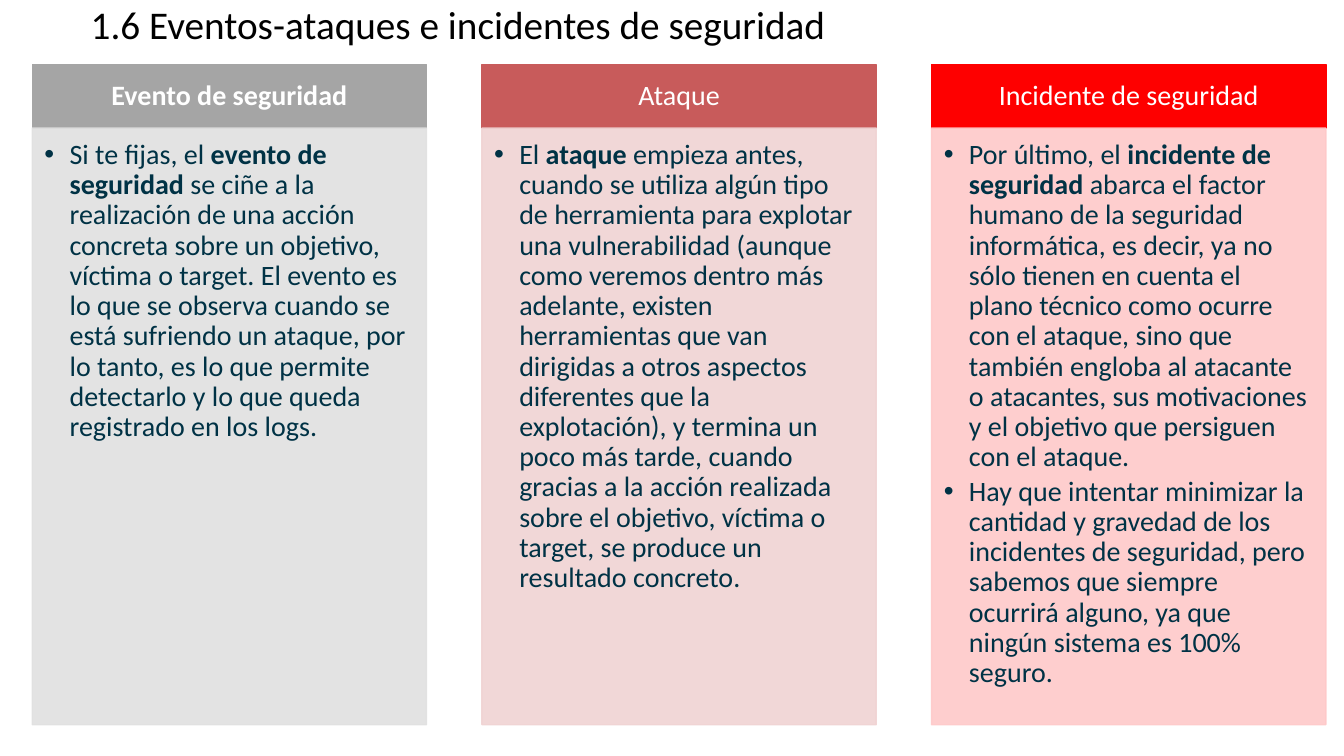
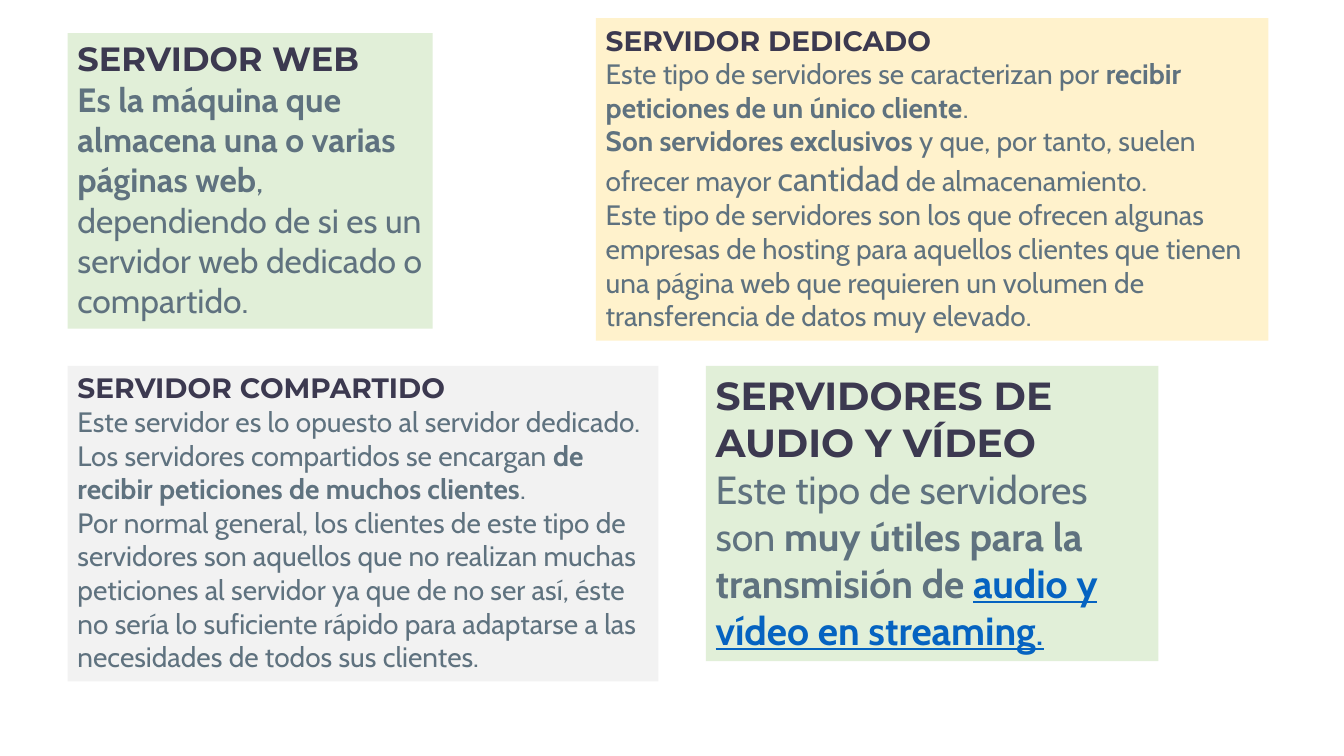
from lxml import etree
from pptx import Presentation
from pptx import util as u
from pptx.dml.color import RGBColor
from pptx.enum import shapes, text
from pptx.oxml import ns

PX = 9144
BLACK = RGBColor(0x00, 0x00, 0x00)
WHITE = RGBColor(0xFF, 0xFF, 0xFF)
NAVY = RGBColor(0x00, 0x32, 0x45)
GRAY = RGBColor(0xA5, 0xA5, 0xA5)
SILVER = RGBColor(0xE0, 0xE0, 0xE0)
ROSE = RGBColor(0xC8, 0x5B, 0x5B)
BLUSH = RGBColor(0xF0, 0xD3, 0xD3)
RED = RGBColor(0xFE, 0x00, 0x00)
PINK = RGBColor(0xFE, 0xC9, 0xC9)
GREEN = RGBColor(0xE1, 0xEF, 0xD8)
CREAM = RGBColor(0xFF, 0xF2, 0xCC)
PALE = RGBColor(0xF2, 0xF2, 0xF2)
PLUM = RGBColor(0x3C, 0x39, 0x50)
SLATE = RGBColor(0x5F, 0x72, 0x7F)
BLUE = RGBColor(0x05, 0x63, 0xC1)

COLUMNS = [
    ("Evento de seguridad", True, GRAY, SILVER, [
        ["Si te fijas, el ", ("evento de seguridad", {"bold": True}),
         " se ciñe a la realización de una acción concreta sobre un objetivo, víctima o target. "
         "El evento es lo que se observa cuando se está sufriendo un ataque, por lo tanto, "
         "es lo que permite detectarlo y lo que queda registrado en los logs."]]),
    ("Ataque", False, ROSE, BLUSH, [
        ["El ", ("ataque", {"bold": True}),
         " empieza antes, cuando se utiliza algún tipo de herramienta para explotar una "
         "vulnerabilidad (aunque como veremos dentro más adelante, existen herramientas que van "
         "dirigidas a otros aspectos diferentes que la explotación), y termina un poco más tarde, "
         "cuando gracias a la acción realizada sobre el objetivo, víctima o target, se produce un "
         "resultado concreto."]]),
    ("Incidente de seguridad", False, RED, PINK, [
        ["Por último, el ", ("incidente de seguridad", {"bold": True}),
         " abarca el factor humano de la seguridad informática, es decir, ya no sólo tienen en "
         "cuenta el plano técnico como ocurre con el ataque, sino que también engloba al atacante "
         "o atacantes, sus motivaciones y el objetivo que persiguen con el ataque."],
        ["Hay que intentar minimizar la cantidad y gravedad de los incidentes de seguridad, pero "
         "sabemos que siempre ocurrirá alguno, ya que ningún sistema es 100% seguro."]]),
]

CARDS = [
    ((67, 33, 362, 293), GREEN, 24, "SERVIDOR WEB", [
        [("Es la máquina que almacena una o varias páginas web", {"bold": True}),
         ", dependiendo de si es un servidor web dedicado o compartido."]]),
    ((591, 18, 667, 320), CREAM, 20, "SERVIDOR DEDICADO", [
        ["Este tipo de servidores se caracterizan por ",
         ("recibir peticiones de un único cliente", {"bold": True}), "."],
        [("Son servidores exclusivos", {"bold": True}),
         " y que, por tanto, suelen ofrecer mayor ",
         ("cantidad", {"size": u.Pt(24)}), " de almacenamiento."],
        ["Este tipo de servidores son los que ofrecen algunas empresas de hosting para aquellos "
         "clientes que tienen una página web que requieren un volumen de transferencia de datos "
         "muy elevado."]]),
    ((67, 363, 586, 313), PALE, 20, "SERVIDOR COMPARTIDO", [
        ["Este servidor es lo opuesto al servidor dedicado."],
        ["Los servidores compartidos se encargan ",
         ("de recibir peticiones de muchos clientes", {"bold": True}), "."],
        ["Por normal general, los clientes de este tipo de servidores son aquellos que no "
         "realizan muchas peticiones al servidor ya que de no ser así, éste no sería lo "
         "suficiente rápido para adaptarse a las necesidades de todos sus clientes."]]),
    ((700, 363, 449, 293), GREEN, 28, "SERVIDORES DE AUDIO Y VÍDEO", [
        ["Este tipo de servidores son ",
         ("muy útiles para la transmisión de ", {"bold": True}),
         ("audio y vídeo en streaming", {"bold": True, "underline": True, "color": BLUE}),
         (".", {"underline": True, "color": BLUE})]]),
]


class Deck:
    """Hold the shared style and the current slide, and draw each kind of element."""

    def __init__(self):
        self.show = Presentation()
        self.show.slide_width, self.show.slide_height = 1333 * PX, 750 * PX
        self.slide = None

    def start(self, title=None):
        self.slide = self.show.slides.add_slide(self.show.slide_layouts[5 if title else 6])
        if title:
            head = self.slide.shapes.title
            head.left, head.top, head.width, head.height = 80 * PX, 0, 1150 * PX, 53 * PX
            frame = head.text_frame
            frame.auto_size = text.MSO_AUTO_SIZE.NONE
            frame.vertical_anchor = text.MSO_ANCHOR.MIDDLE
            self.line(frame, [title], "Calibri", 28, BLACK, spacing=0.9)

    def line(self, frame, runs, face, size, color, bold=False, spacing=None,
             align=text.PP_ALIGN.LEFT, bullet=False):
        para = frame.paragraphs[0]
        first = not para.runs
        if not first:
            para = frame.add_paragraph()
        para.alignment = align
        if spacing:
            para.line_spacing = spacing
        if bullet:
            if not first:
                para.space_before = u.Pt(3)
            props = para._p.get_or_add_pPr()
            props.set("marL", str(25 * PX))
            props.set("indent", str(-25 * PX))
            etree.SubElement(props, ns.qn("a:buFont")).set("typeface", "Arial")
            etree.SubElement(props, ns.qn("a:buChar")).set("char", "•")
        font = para.font
        font.name, font.size, font.bold = face, u.Pt(size), bold
        font.color.rgb = color
        for item in runs:
            words, style = (item, {}) if isinstance(item, str) else item
            run = para.add_run()
            run.text = words
            self.style(run.font, **style)

    def style(self, font, bold=None, underline=None, size=None, color=None):
        font.bold, font.underline, font.size = bold, underline, size
        if color:
            font.color.rgb = color

    def box(self, place, fill, pads=(10, 5, 10, 5), alpha=None, edge=False):
        shape = self.slide.shapes.add_shape(shapes.MSO_SHAPE.RECTANGLE, *[n * PX for n in place])
        shape.shadow.inherit = False
        shape.fill.solid()
        shape.fill.fore_color.rgb = fill
        if edge:
            shape.line.color.rgb = fill
            shape.line.width = u.Pt(1)
        else:
            shape.line.fill.background()
        if alpha:
            for tint in shape._element.spPr.iter(ns.qn("a:srgbClr")):
                etree.SubElement(tint, ns.qn("a:alpha")).set("val", str(alpha * 1000))
        frame = shape.text_frame
        frame.word_wrap = True
        frame.vertical_anchor = text.MSO_ANCHOR.TOP
        (frame.margin_left, frame.margin_top,
         frame.margin_right, frame.margin_bottom) = [n * PX for n in pads]
        return frame

    def column(self, left, head, bold, dark, light, paras):
        frame = self.box((left, 64, 391, 63), dark, (16, 9, 16, 9), edge=True)
        frame.vertical_anchor = text.MSO_ANCHOR.MIDDLE
        self.line(frame, [head], "Calibri", 20, WHITE, bold, 0.9, text.PP_ALIGN.CENTER)
        frame = self.box((left, 127, 391, 592), light, (12, 12, 16, 17), 90, True)
        for runs in paras:
            self.line(frame, runs, "Calibri", 20, NAVY, spacing=0.9, bullet=True)

    def card(self, place, fill, size, head, paras):
        frame = self.box(place, fill)
        frame.auto_size = text.MSO_AUTO_SIZE.SHAPE_TO_FIT_TEXT
        self.line(frame, [head], "Montserrat", size, PLUM, True)
        for runs in paras:
            self.line(frame, runs, "Cabin", size, SLATE)


def main():
    deck = Deck()
    deck.start("1.6 Eventos-ataques e incidentes de seguridad")
    for i, column in enumerate(COLUMNS):
        deck.column(32 + 446 * i, *column)
    deck.start()
    for card in CARDS:
        deck.card(*card)
    deck.show.save("out.pptx")


if __name__ == "__main__":
    main()
